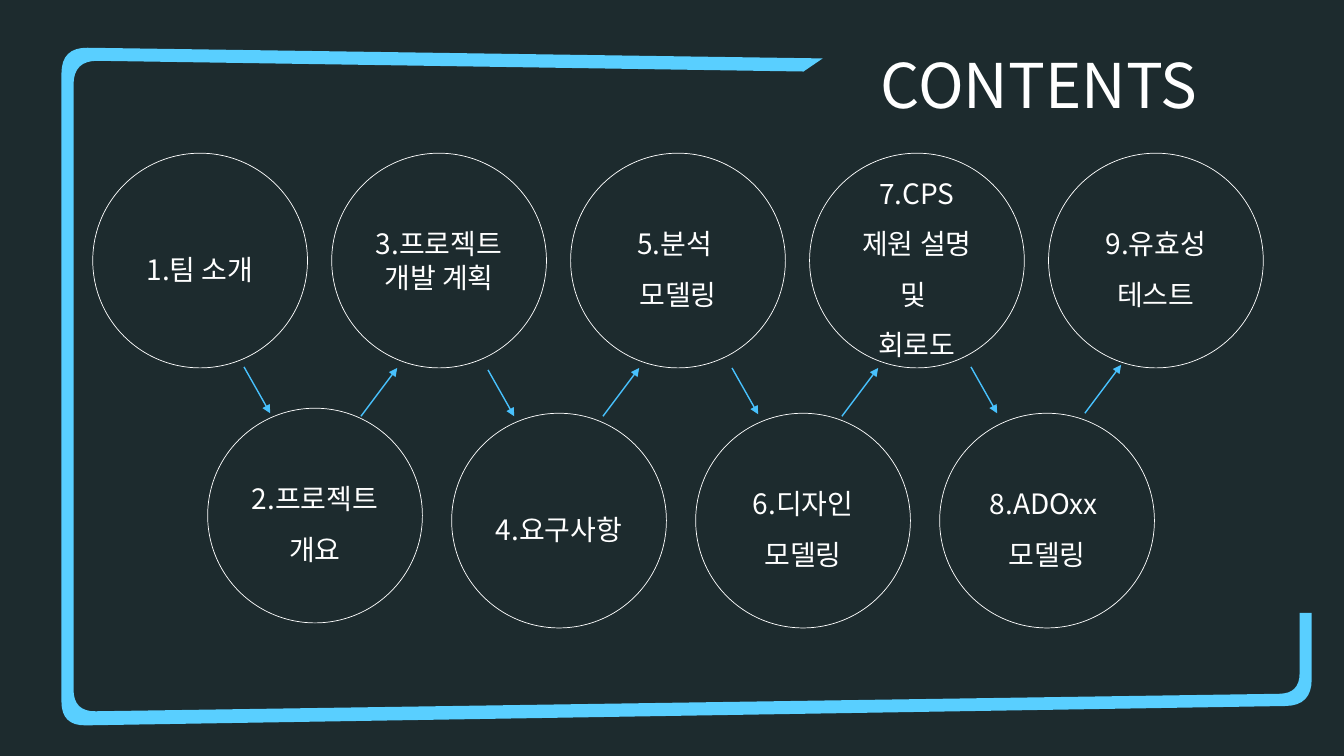
"""Build a contents slide: nine linked circles inside a bright frame."""
from math import dist
from pptx import Presentation, util as u
from pptx.dml.color import RGBColor
from pptx.enum import shapes, text
from pptx.oxml.ns import qn
from lxml import etree

DARK = RGBColor(0x1D, 0x2B, 0x2E)
WHITE = RGBColor(0xFF, 0xFF, 0xFF)
GLOW = RGBColor(0x59, 0xCF, 0xFF)
BLUE = RGBColor(0x48, 0xC1, 0xFD)
FONT = "Noto Sans CJK KR"
SIZE = 2.13


def style(frame, size, gap):
    """Format all text of a frame in centred white."""
    for para in frame.paragraphs:
        para.alignment = text.PP_ALIGN.CENTER
        para.line_spacing = gap
        for run in para.runs:
            run.font.name = FONT
            run.font.size = u.Pt(size)
            run.font.color.rgb = WHITE
            east = etree.SubElement(run._r.get_or_add_rPr(), qn("a:ea"))
            east.set("typeface", FONT)


def toward(start, end, step):
    """Return the point a given step from start to end."""
    part = step / dist(start, end)
    return tuple(a + (b - a) * part for a, b in zip(start, end))


deck = Presentation()
deck.slide_width, deck.slide_height = u.Inches(13.33), u.Inches(7.5)
slide = deck.slides.add_slide(deck.slide_layouts[5])
slide.background.fill.solid()
slide.background.fill.fore_color.rgb = DARK

corners = [
    (0.61, 0.47, 0.26), (8.16, 0.58, 0), (7.97, 0.71, 0), (0.73, 0.6, 0.24),
    (0.73, 7.06, 0.22), (12.89, 6.88, 0.2), (12.89, 6.08, 0),
    (13.01, 6.08, 0), (13.01, 7, 0.26), (0.61, 7.2, 0.24),
]
edge = []
for n, (x, y, bend) in enumerate(corners):
    spot = (x, y)
    if not bend:
        edge.append(spot)
        continue
    first = toward(spot, corners[n - 1][:2], bend)
    last = toward(spot, corners[(n + 1) % len(corners)][:2], bend)
    for k in range(9):
        t = k / 8
        edge.append(tuple((1 - t) ** 2 * a + 2 * t * (1 - t) * b + t * t * c
                          for a, b, c in zip(first, spot, last)))
edge = [tuple(map(u.Inches, spot)) for spot in edge]
pen = slide.shapes.build_freeform(*edge[0])
pen.add_line_segments(edge[1:], close=True)
frame = pen.convert_to_shape()
frame.shadow.inherit = False
frame.fill.solid()
frame.fill.fore_color.rgb = GLOW
frame.line.fill.background()

title = slide.shapes.title
title.left, title.top = u.Inches(8.2), u.Inches(0.05)
title.width, title.height = u.Inches(4.21), u.Inches(1.07)
title.text_frame.text = "CONTENTS"
title.text_frame.auto_size = text.MSO_AUTO_SIZE.NONE
title.text_frame.vertical_anchor = text.MSO_ANCHOR.TOP
style(title.text_frame, 44, 1.5)

topics = [
    "1.팀 소개", "2.프로젝트 개요", "3.프로젝트 \n개발 계획",
    "4.요구사항", "5.분석 \n모델링", "6.디자인\n모델링",
    "7.CPS 제원 설명 및 \n회로도", "8.ADOxx \n모델링", "9.유효성 테스트",
]
for n, topic in enumerate(topics):
    col, low = divmod(n, 2)
    left = 2.06 + 2.42 * col if low else 0.92 + 2.37 * col
    top = 1.52
    if low:
        top = 4.1 if col else 4.05
    ball = slide.shapes.add_shape(
        shapes.MSO_SHAPE.OVAL, *map(u.Inches, (left, top, SIZE, SIZE)))
    ball.shadow.inherit = False
    ball.fill.background()
    ball.line.color.rgb = WHITE
    ball.line.width = u.Pt(0.5)
    ball.text_frame.text = topic
    ball.text_frame.word_wrap = True
    ball.text_frame.vertical_anchor = text.MSO_ANCHOR.MIDDLE
    style(ball.text_frame, 20, 1 if n == 2 else 1.5)

downs = [(2.42, 3.64), (4.84, 3.67), (7.26, 3.65), (9.63, 3.64)]
ups = [(3.58, 4.13), (5.98, 4.13), (8.35, 4.13), (10.76, 4.1)]
for starts, dx, dy in ((downs, 0.26, 0.46), (ups, 0.36, -0.48)):
    for x, y in starts:
        arrow = slide.shapes.add_connector(
            shapes.MSO_CONNECTOR.STRAIGHT,
            *map(u.Inches, (x, y, x + dx, y + dy)))
        arrow.line.color.rgb = BLUE
        arrow.line.width = u.Pt(1)
        line = arrow.line._get_or_add_ln()
        etree.SubElement(line, qn("a:tailEnd")).set("type", "triangle")
        etree.SubElement(arrow._element.spPr, qn("a:effectLst"))

deck.save("out.pptx")
